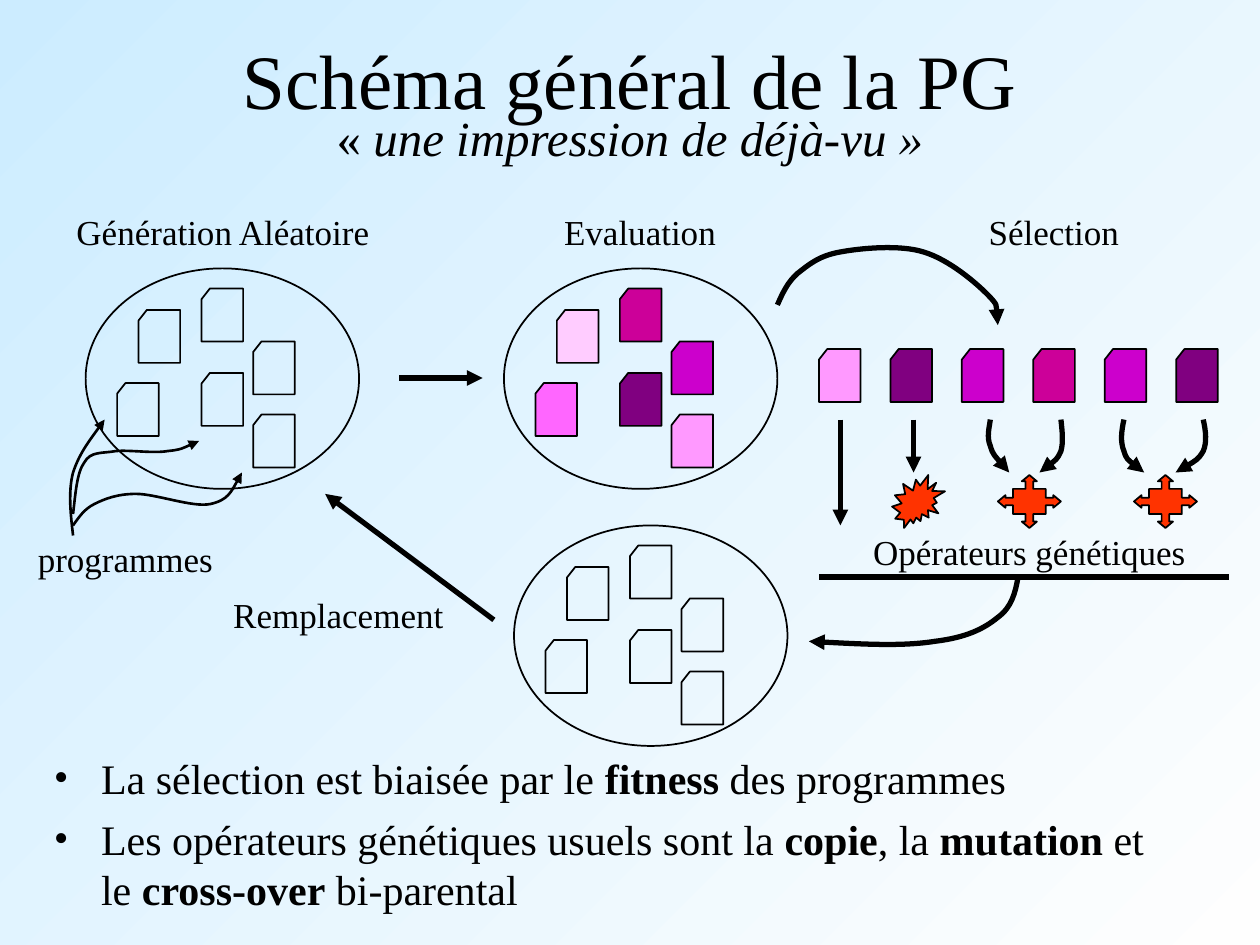
from lxml.etree import SubElement
from pptx import Presentation
from pptx.dml.color import RGBColor
from pptx.enum.shapes import MSO_CONNECTOR, MSO_SHAPE
from pptx.enum.text import MSO_ANCHOR, MSO_AUTO_SIZE, PP_ALIGN
from pptx.oxml.ns import qn
from pptx.util import Cm, Pt

# Content: positions are in inches, converted to lengths by grid()
FONT = "Times New Roman"
TITLE = [[("Schéma général de la PG", "")]]
SUBTITLE = [[("« ", ""), ("une impression de déjà-vu »", "i")]]
BULLETS = [
    [("La sélection est biaisée par le ", ""), ("fitness", "b"), (" des programmes", "")],
    [("Les opérateurs génétiques usuels sont la ", ""), ("copie", "b"), (", la ", ""),
     ("mutation", "b"), (" et le ", ""), ("cross-over", "b"), (" bi-parental", "")],
]
LABELS = [  # text, left, top, width
    ("Génération Aléatoire", 0.49, 1.62, 2.56),
    ("Evaluation", 4.36, 1.62, 1.44),
    ("Sélection", 7.73, 1.62, 1.27),
    ("Opérateurs génétiques", 6.82, 4.16, 2.7),
    ("Remplacement", 1.74, 4.66, 1.89),
    ("programmes", 0.19, 4.21, 1.61),
]

# Populations: an ellipse with six programme cards at fixed offsets
CARD_SIZE = (0.33, 0.42)
CARD_OFFSETS = [(1.33, 1.16), (0.25, 0.91), (0.92, 0.83),
                (1.33, 0.58), (0.92, 0.16), (0.42, 0.33)]
EVALUATED = ["FF99FF", "FF66FF", "800080", "CC00CC", "CC0099", "FFCCFF"]
POPULATIONS = [  # left, top, card colours, grouped
    (0.68, 2.13, [None] * 6, True),
    (4, 2.13, EVALUATED, True),
    (4.08, 4.17, [None] * 6, False),
]
SELECTED = ["FF99FF", "800080", "CC00CC", "CC0099", "CC00CC", "800080"]
SELECTED_LEFT, SELECTED_TOP, SELECTED_STEP = 6.5, 2.77, 0.567

# Genetic operators
OPERATOR_COLOR = "FF3300"
MUTATION = (7.08, 3.77, 0.42, 0.42)
CROSSOVER_CENTERS = [(8.17, 3.98), (9.25, 3.98)]
CROSSOVER_QUARTER = [(0, -0.21), (0.06, -0.16), (0.03, -0.16), (0.03, -0.1), (0.13, -0.1),
                     (0.13, -0.03), (0.19, -0.03), (0.19, -0.05), (0.25, 0)]

STRAIGHT_LINES = [  # start, end, has arrowhead
    ((3.17, 3), (3.83, 3), True),
    ((3.92, 4.92), (2.58, 3.92), True),
    ((6.67, 3.33), (6.67, 4.17), True),
    ((7.25, 3.33), (7.25, 3.75), True),
    ((6.5, 4.58), (9.75, 4.58), False),
]
CURVES = [  # line width, start point, then three control points per Bézier piece
    (3, [(6.17, 2.42), (6.21, 2.33), (6.25, 2.24), (6.33, 2.17), (6.42, 2.1), (6.5, 2.03),
         (6.67, 2), (6.83, 1.97), (7.14, 1.94), (7.33, 2), (7.53, 2.06), (7.74, 2.24),
         (7.83, 2.33), (7.93, 2.43), (7.92, 2.51), (7.92, 2.58)]),
    (3, [(9.55, 3.33), (9.57, 3.42), (9.58, 3.51), (9.55, 3.58),
         (9.51, 3.65), (9.42, 3.7), (9.33, 3.75)]),
    (3, [(8.92, 3.33), (8.9, 3.42), (8.89, 3.51), (8.92, 3.58),
         (8.94, 3.65), (9.01, 3.7), (9.08, 3.75)]),
    (3, [(8.42, 3.33), (8.43, 3.42), (8.44, 3.51), (8.42, 3.58),
         (8.39, 3.65), (8.32, 3.7), (8.25, 3.75)]),
    (3, [(7.86, 3.33), (7.85, 3.4), (7.83, 3.47), (7.86, 3.54),
         (7.88, 3.61), (7.95, 3.68), (8.01, 3.75)]),
    (3, [(8.08, 4.58), (8.06, 4.7), (8.03, 4.82), (7.92, 4.9), (7.81, 4.99), (7.67, 5.06),
         (7.42, 5.09), (7.17, 5.13), (6.79, 5.11), (6.42, 5.09)]),
    (1.5, [(0.58, 4.25), (0.56, 4.08), (0.54, 3.9), (0.58, 3.75),
           (0.63, 3.6), (0.73, 3.47), (0.83, 3.33)]),
    (1.5, [(0.58, 4.08), (0.6, 3.92), (0.61, 3.75), (0.67, 3.67), (0.72, 3.58), (0.81, 3.6),
           (0.92, 3.58), (1.03, 3.57), (1.22, 3.6), (1.33, 3.58), (1.44, 3.57), (1.51, 3.53),
           (1.58, 3.5)]),
    (1.5, [(0.58, 4.17), (0.63, 4.1), (0.67, 4.04), (0.75, 4), (0.83, 3.96), (0.93, 3.92),
           (1.08, 3.92), (1.24, 3.92), (1.53, 4.03), (1.67, 4), (1.81, 3.97), (1.86, 3.86),
           (1.92, 3.75)]),
]


def grid(*values):
    return [Cm(value * 2.54) for value in values]


def color(hex_text):
    return RGBColor.from_string(hex_text)


def add_text(page, paragraphs, place, size=20, align=PP_ALIGN.CENTER,
             anchor=MSO_ANCHOR.MIDDLE, wrap=True, bullet=False):
    box = page.shapes.add_textbox(*grid(*place))
    frame = box.text_frame
    frame.word_wrap = wrap
    frame.auto_size = MSO_AUTO_SIZE.NONE if wrap else MSO_AUTO_SIZE.SHAPE_TO_FIT_TEXT
    frame.vertical_anchor = anchor
    for index, spans in enumerate(paragraphs):
        para = frame.add_paragraph() if index else frame.paragraphs[0]
        para.alignment = align
        if bullet:
            para.space_before = Pt(6)
            properties = para._p.get_or_add_pPr()
            properties.set("marL", str(Cm(0.95)))
            properties.set("indent", str(-Cm(0.95)))
            SubElement(properties, qn("a:buFont"), typeface=FONT)
            SubElement(properties, qn("a:buChar"), char="•")
        for text, style in spans:
            span = para.add_run()
            span.text = text
            span.font.name = FONT
            span.font.size = Pt(size)
            span.font.color.rgb = color("000000")
            span.font.bold = style == "b"
            span.font.italic = style == "i"


def style_line(shape, width, arrow=False):
    shape.line.color.rgb = color("000000")
    shape.line.width = Pt(width)
    if arrow:
        SubElement(shape.element.spPr.find(qn("a:ln")), qn("a:tailEnd"), type="triangle")


def style_shape(shape, fill=None, width=1, arrow=False):
    shape.shadow.inherit = False
    if fill:
        shape.fill.solid()
        shape.fill.fore_color.rgb = color(fill)
    else:
        shape.fill.background()
    style_line(shape, width, arrow)


def add_preset(parent, kind, place, fill=None):
    style_shape(parent.add_shape(kind, *grid(*place)), fill)


def add_card(parent, left, top, fill):
    add_preset(parent, MSO_SHAPE.FLOWCHART_CARD, (left, top, *CARD_SIZE), fill)


def add_outline(page, points, closed, **style):
    start, *rest = [grid(*point) for point in points]
    builder = page.shapes.build_freeform(*start)
    builder.add_line_segments(rest, close=closed)
    shape = builder.convert_to_shape()
    style_shape(shape, **style)
    return shape


def bend(shape):
    """Turn every three line segments into one Bézier piece."""
    outline = next(shape.element.iter(qn("a:path")))
    for index, segment in enumerate(outline.findall(qn("a:lnTo"))):
        if index % 3 == 0:
            piece = SubElement(outline, qn("a:cubicBezTo"))
        piece.append(segment[0])
        outline.remove(segment)


def crossover_points(center_x, center_y):
    quarter = CROSSOVER_QUARTER
    right = quarter + [(x, -y) for x, y in quarter[-2::-1]]
    left = [(-x, y) for x, y in right[-2:0:-1]]
    return [(center_x + x, center_y + y) for x, y in right + left]


def main():
    deck = Presentation()
    deck.slide_width, deck.slide_height = grid(10, 7.5)
    page = deck.slides.add_slide(deck.slide_layouts[6])

    # Background gradient, white at the bottom right
    background = page.background.fill
    background.gradient()
    background.gradient_angle = 135
    for stop, shade in zip(background.gradient_stops, ("FEFEFE", "CCECFF")):
        stop.color.rgb = color(shade)

    # Texts
    add_text(page, TITLE, (0, 0, 10, 1.25), size=44)
    add_text(page, SUBTITLE, (0, 0.8, 10, 0.57), size=28)
    add_text(page, BULLETS, (0.33, 5.92, 9.08, 1.58), size=24, align=PP_ALIGN.LEFT,
             anchor=MSO_ANCHOR.TOP, bullet=True)
    for text, left, top, width in LABELS:
        add_text(page, [[(text, "")]], (left, top, width, 0.44), wrap=False)

    # Populations and selected programmes
    for left, top, fills, grouped in POPULATIONS:
        parent = page.shapes.add_group_shape().shapes if grouped else page.shapes
        add_preset(parent, MSO_SHAPE.OVAL, (left, top, 2.17, 1.75))
        for (across, down), fill in zip(CARD_OFFSETS, fills):
            add_card(parent, left + across, top + down, fill)
    for index, fill in enumerate(SELECTED):
        add_card(page.shapes, SELECTED_LEFT + index * SELECTED_STEP, SELECTED_TOP, fill)

    # Mutation and cross-over symbols
    add_preset(page.shapes, MSO_SHAPE.EXPLOSION2, MUTATION, OPERATOR_COLOR)
    for center in CROSSOVER_CENTERS:
        add_outline(page, crossover_points(*center), True, fill=OPERATOR_COLOR)

    # Straight and curved arrows
    for start, end, arrow in STRAIGHT_LINES:
        line = page.shapes.add_connector(MSO_CONNECTOR.STRAIGHT, *grid(*start, *end))
        style_line(line, 3, arrow)
        SubElement(line.element.spPr, qn("a:effectLst"))
    for width, controls in CURVES:
        bend(add_outline(page, controls, False, width=width, arrow=True))

    deck.save("out.pptx")


if __name__ == "__main__":
    main()
